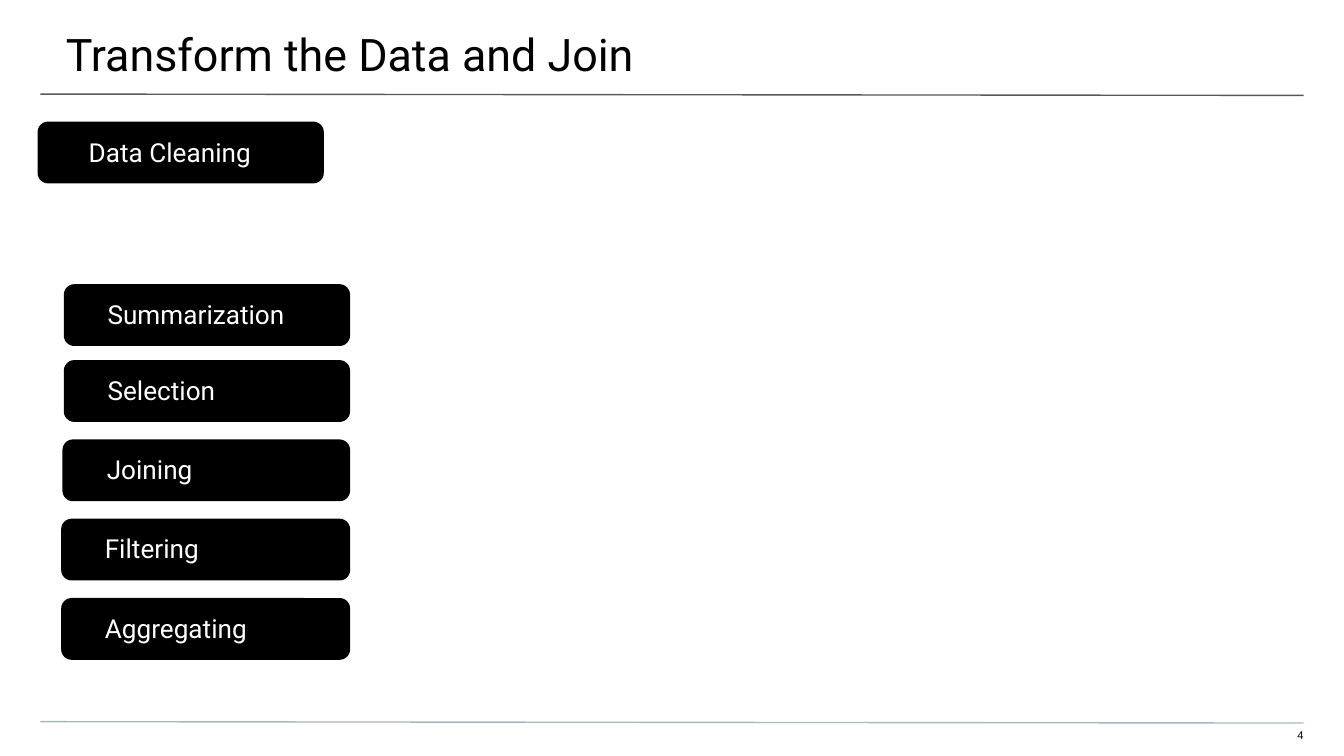
from dataclasses import dataclass

from pptx import Presentation
from pptx.dml.color import RGBColor as RGB
from pptx.enum.shapes import MSO_CONNECTOR as CONN, MSO_SHAPE as SHAPE
from pptx.enum.text import MSO_ANCHOR as ANCHOR, PP_ALIGN as ALIGN
from pptx.oxml.ns import qn
from pptx.util import Emu, Pt

PX = 4572  # EMU per px, 200 px to the inch


@dataclass(frozen=True)
class Theme:
    ink: RGB = RGB(0x00, 0x00, 0x00)
    paper: RGB = RGB(0xFF, 0xFF, 0xFF)
    head_rule: RGB = RGB(0x59, 0x59, 0x59)
    foot_rule: RGB = RGB(0xA9, 0xB7, 0xC0)
    face: str = "Roboto"
    number_face: str = "Arial"
    title_size: int = 24
    step_size: int = 14
    number_size: int = 6
    rule_width: float = 0.75


THEME = Theme()
LABEL_INSETS = (160, 8, 44, 8)
BAR_HEIGHT, LABEL_HEIGHT = 92, 88

# step name, bar top, bar left, bar width, label top, label left, label width
STEPS = [
    ("Data Cleaning", 181, 56, 426, 183, -28, 522),
    ("Summarization", 423, 95, 426, 424, 0, 522),
    ("Selection", 536, 95, 426, 536, 0, 538),
    ("Joining", 654, 93, 428, 654, -1, 586),
    ("Filtering", 772, 91, 430, 772, -4, 604),
    ("Aggregating", 890, 91, 430, 890, -4, 604),
]


def px(*values):
    return [Emu(v * PX) for v in values]


def set_all(obj, values):
    for name, value in values.items():
        setattr(obj, name, value)


def add_rule(slide, y, color):
    """Page-wide rule that drops by two px."""
    line = slide.shapes.add_connector(CONN.STRAIGHT, *px(60, y, 1940, y + 2))
    line.line.color.rgb = color
    line.line.width = Pt(THEME.rule_width)
    sp_pr = line._element.spPr
    sp_pr.append(sp_pr.makeelement(qn("a:effectLst"), {}))


def add_text(slide, text, box, insets, size, color=THEME.ink, face=THEME.face,
             align=ALIGN.LEFT, anchor=ANCHOR.TOP):
    tf = slide.shapes.add_textbox(*px(*box)).text_frame
    sides = ("margin_left", "margin_top", "margin_right", "margin_bottom")
    set_all(tf, dict(zip(sides, px(*insets)),
                     word_wrap=True, vertical_anchor=anchor))
    p = tf.paragraphs[0]
    p.alignment = align
    r = p.add_run()
    r.text = text
    set_all(r.font, {"name": face, "size": Pt(size)})
    r.font.color.rgb = color


def add_bar(slide, box):
    sp = slide.shapes.add_shape(SHAPE.ROUNDED_RECTANGLE, *px(*box))
    sp.adjustments[0] = 0.17
    sp.shadow.inherit = False
    sp.fill.solid()
    sp.fill.fore_color.rgb = THEME.ink
    sp.line.fill.background()


def add_step(slide, name, bar_top, bar_left, bar_width,
             label_top, label_left, label_width):
    add_bar(slide, (bar_left, bar_top, bar_width, BAR_HEIGHT))
    add_text(slide, name, (label_left, label_top, label_width, LABEL_HEIGHT),
             LABEL_INSETS, THEME.step_size, THEME.paper, anchor=ANCHOR.MIDDLE)


def main():
    prs = Presentation()
    prs.slide_width, prs.slide_height = px(2000, 1125)
    slide = prs.slides.add_slide(prs.slide_layouts[6])

    # Header and footer rules
    add_rule(slide, 140, THEME.head_rule)
    add_rule(slide, 1074, THEME.foot_rule)

    # Title and page number
    add_text(slide, "Transform the Data and Join", (-2, 0, 2006, 116),
             (100, 40, 60, 20), THEME.title_size)
    add_text(slide, "4", (1882, 1084, 58, 24), (0, 0, 0, 20),
             THEME.number_size, face=THEME.number_face, align=ALIGN.RIGHT)

    # Transformation steps
    for step in STEPS:
        add_step(slide, *step)

    prs.save("out.pptx")


if __name__ == "__main__":
    main()
